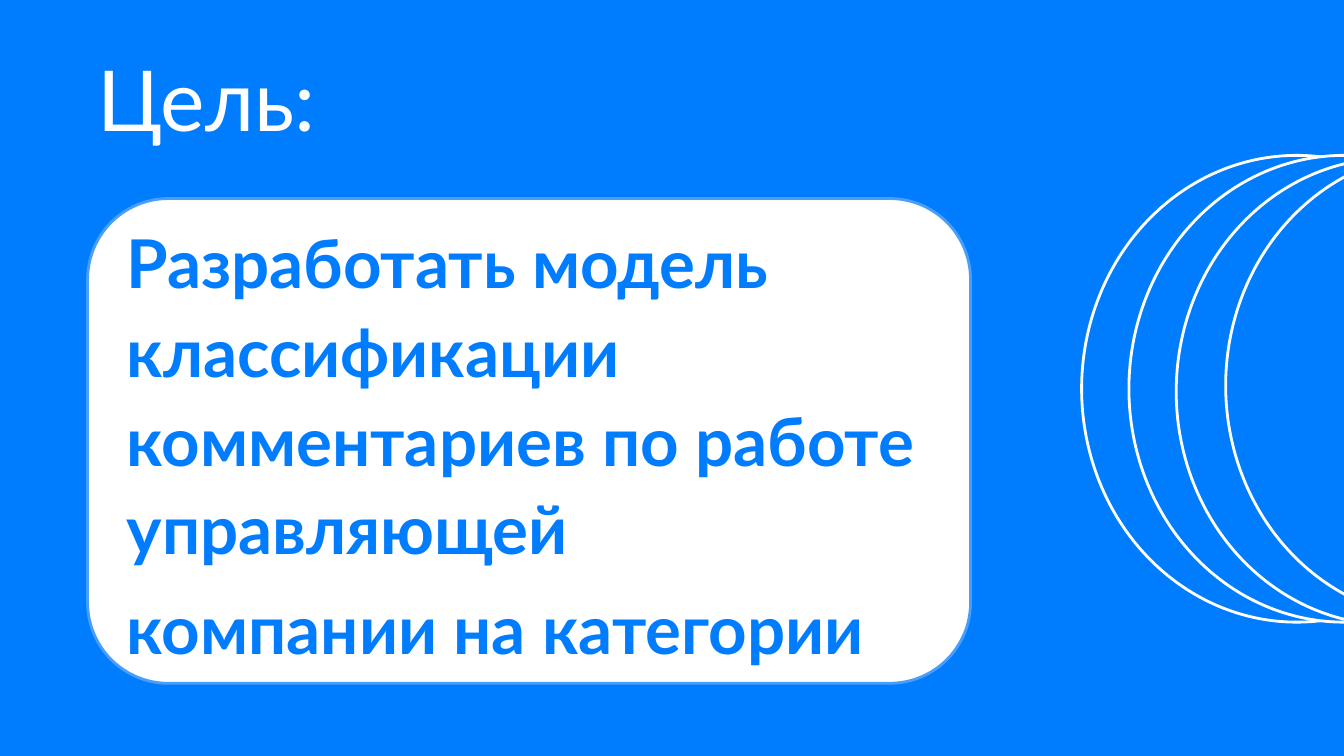
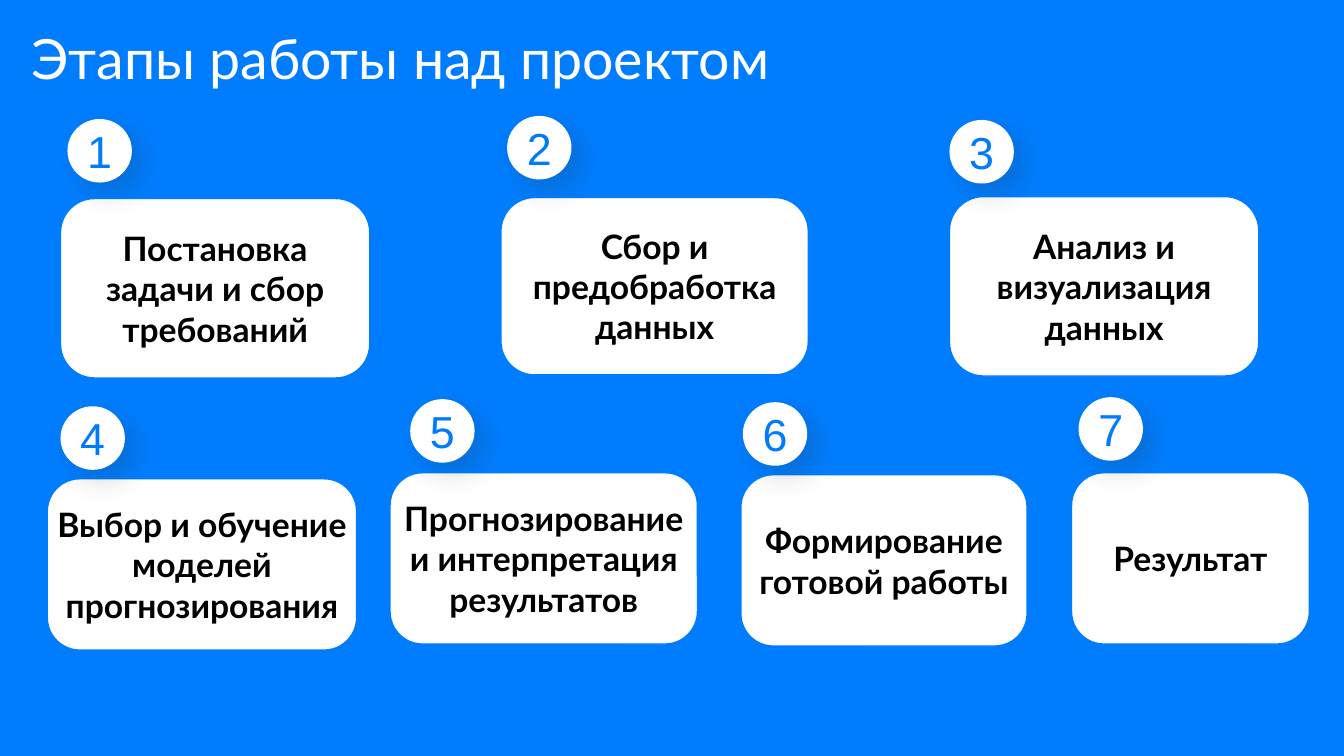
"""Build two slides: the project goal and the stages of work."""
import pptx
import pptx.dml.color
import pptx.enum.shapes
import pptx.enum.text
import pptx.oxml
import pptx.oxml.ns
import pptx.util

Pt = pptx.util.Pt
rgb = pptx.dml.color.RGBColor.from_string
MSO = pptx.enum.shapes.MSO_SHAPE
ANCHOR = pptx.enum.text.MSO_ANCHOR
ALIGN = pptx.enum.text.PP_ALIGN

BLUE, WHITE, BLACK = "007DFF", "FFFFFF", "000000"
DIGIT, CARD_EDGE, RING_EDGE = "007BFC", "499EFA", "FEFFFE"
SHADOW = (
    f'<a:outerShdw {pptx.oxml.ns.nsdecls("a")} blurRad="{Pt(20)}" dist="{Pt(10)}" '
    'dir="2700000" algn="ctr" rotWithShape="0">'
    '<a:srgbClr val="2C2C2C"><a:alpha val="20000"/></a:srgbClr></a:outerShdw>'
)


def add_shape(s, kind, x, y, w, h, fill, edge=None, width=1):
    sp = s.shapes.add_shape(kind, Pt(x), Pt(y), Pt(w), Pt(h))
    sp.shadow.inherit = False
    sp.fill.solid()
    sp.fill.fore_color.rgb = rgb(fill)
    if edge:
        sp.line.color.rgb = rgb(edge)
        sp.line.width = Pt(width)
    else:
        sp.line.fill.background()
    return sp


def write(sp, text, size, color, font="Lato", bold=False, align=ALIGN.CENTER,
          anchor=ANCHOR.MIDDLE, spacing=1.0, before=0):
    tf = sp.text_frame
    tf.margin_left = tf.margin_right = tf.margin_top = tf.margin_bottom = 0
    tf.word_wrap = True
    tf.auto_size = pptx.enum.text.MSO_AUTO_SIZE.NONE
    tf.vertical_anchor = anchor
    tf.text = text
    for i, p in enumerate(tf.paragraphs):
        p.alignment = align
        p.line_spacing = spacing
        p.space_before = Pt(before if i else 0)
        p.font.name = font
        p.font.size = Pt(size)
        p.font.bold = bold
        p.font.color.rgb = rgb(color)
    return tf


prs = pptx.Presentation()
prs.slide_width, prs.slide_height = Pt(960), Pt(540)
bg = prs.slide_master.background.fill
bg.solid()
bg.fore_color.rgb = rgb(BLUE)

titles = [
    ("Цель:", 60, 70, 42, 340, 66),
    ("Этапы работы над проектом", 39.6, 22.5, 22.5, 890, 47.5),
]
for text, size, x, y, w, h in titles:
    s = prs.slides.add_slide(prs.slide_layouts[5])
    title = s.shapes.title
    title.left, title.top, title.width, title.height = Pt(x), Pt(y), Pt(w), Pt(h)
    write(title, text, size, WHITE, align=ALIGN.LEFT, anchor=ANCHOR.TOP, spacing=0.9)

goal_slide, stages_slide = prs.slides

goal = add_shape(goal_slide, MSO.ROUNDED_RECTANGLE, 62.6, 141.8, 630.7, 346.3, WHITE, CARD_EDGE, 2)
tf = write(
    goal,
    "Разработать модель классификации комментариев по работе управляющей\n"
    "компании на категории",
    48, BLUE, bold=True, align=ALIGN.LEFT, spacing=1.1, before=8,
)
tf.margin_left = Pt(11)

for x, y in [(772.6, 111), (806.4, 111), (840.2, 113), (875.5, 108.7)]:
    add_shape(goal_slide, MSO.OVAL, x, y, 307.4, 333.4, BLUE, RING_EDGE, 2)

stages = [
    ("Постановка задачи и сбор требований", 43.2, 141.8, 221, 128.2, 48.2, 85),
    ("Сбор и предобработка данных", 357.8, 141.1, 219.6, 126.7, 362.2, 82.8),
    ("Анализ и визуализация данных", 678.2, 140.4, 221, 128.2, 678.2, 85.7),
    ("Выбор и обучение моделей прогнозирования", 33.8, 342, 221, 122.4, 43.2, 290.2),
    ("Прогнозирование и интерпретация результатов", 278.6, 337.7, 219.6, 122.4, 293, 285.1),
    ("Формирование готовой работы", 529.2, 339.1, 204.5, 122.4, 530.6, 287.3),
    ("Результат", 765.4, 337.7, 169.9, 122.4, 770.4, 283.7),
]
for number, (text, x, y, w, h, badge_x, badge_y) in enumerate(stages, 1):
    card = add_shape(stages_slide, MSO.ROUNDED_RECTANGLE, x, y, w, h, WHITE, BLUE)
    card.adjustments[0] = 0.19
    write(card, text, 24, BLACK, bold=True)
    badge = add_shape(stages_slide, MSO.OVAL, badge_x, badge_y, 46, 45.4, WHITE)
    effects = badge._element.spPr.find(pptx.oxml.ns.qn("a:effectLst"))
    effects.append(pptx.oxml.parse_xml(SHADOW))
    write(badge, str(number), 32, DIGIT, font="Arial")

prs.save("out.pptx")
